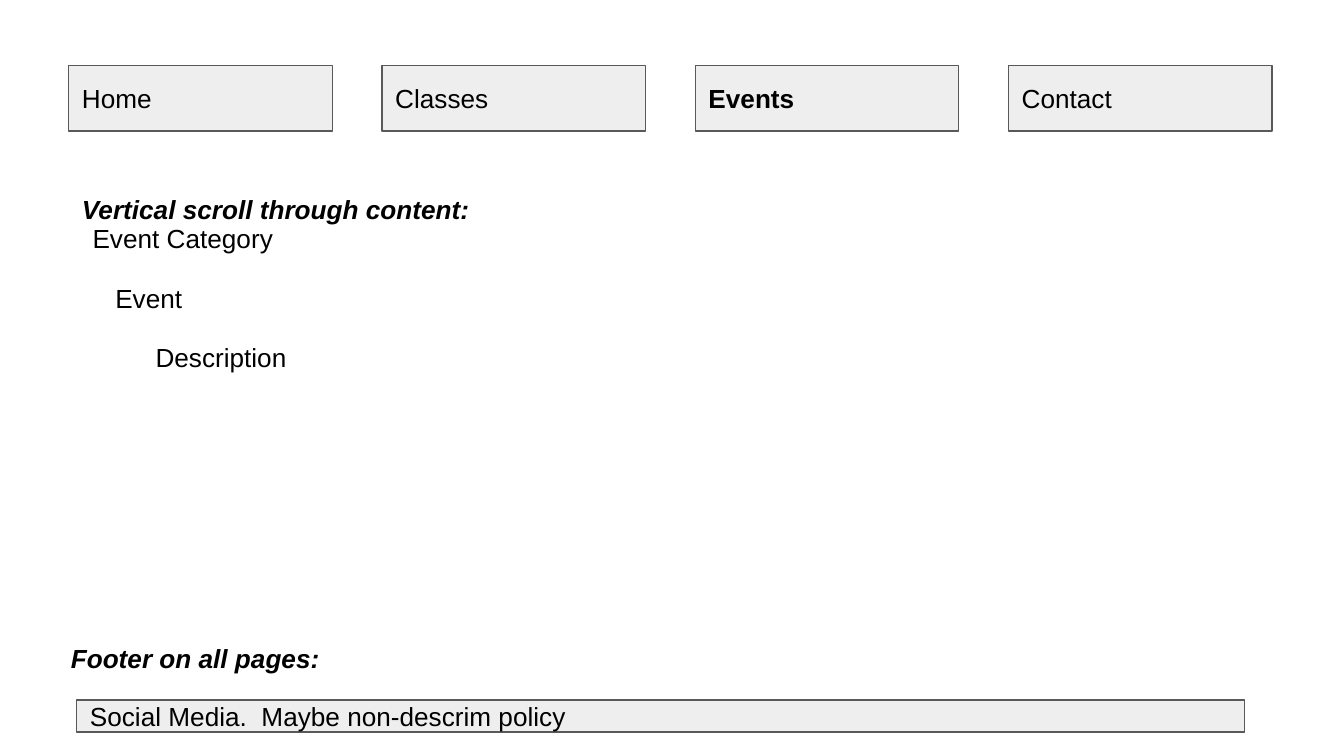
"""Build the wireframe slide of the Events page."""
from pptx import Presentation
from pptx.dml.color import RGBColor
from pptx.enum.shapes import MSO_SHAPE
from pptx.enum.text import MSO_ANCHOR, PP_ALIGN
from pptx.util import Cm, Pt

RECTANGLE = MSO_SHAPE.RECTANGLE
TOP, MIDDLE = MSO_ANCHOR.TOP, MSO_ANCHOR.MIDDLE
LEFT = PP_ALIGN.LEFT

COLOURS = {"panel": "EEEEEE", "border": "595959", "text": "000000"}

MENU = ["Home", "Classes", "Events", "Contact"]
CURRENT_PAGE = "Events"
FOOTER = "Social Media.  Maybe non-descrim policy"
HEADINGS = [
    ("Footer on all pages:", 1.09, 11.89, 8.1),
    ("Vertical scroll through content:", 1.3, 3.4, 11.66),
]
OUTLINE = [("Event Category", 1.5), ("Event", 1.93), ("Description", 2.69)]

MENU_LEFT, MENU_TOP, MENU_PITCH = 1.3, 1.24, 5.92
MENU_WIDTH, MENU_HEIGHT = 4.98, 1.24
OUTLINE_TOP, OUTLINE_PITCH, OUTLINE_WIDTH = 3.96, 1.12, 5.61
LABEL_HEIGHT = 0.74


def colour(role):
    return RGBColor.from_string(COLOURS[role])


def write(holder, wording, anchor, bold=False, italic=False):
    frame = holder.text_frame
    frame.word_wrap = True
    frame.vertical_anchor = anchor
    frame.margin_left = frame.margin_right = Cm(0.25)
    frame.margin_top = frame.margin_bottom = Cm(0.25)
    line = frame.paragraphs[0]
    line.text = wording
    line.alignment = LEFT
    line.font.name = "Arial"
    line.font.size = Pt(14)
    line.font.bold = bold
    line.font.italic = italic
    line.font.color.rgb = colour("text")


def add_panel(slide, wording, left, top, width, height, bold=False):
    panel = slide.shapes.add_shape(RECTANGLE, Cm(left), Cm(top), Cm(width), Cm(height))
    panel.shadow.inherit = False
    panel.fill.solid()
    panel.fill.fore_color.rgb = colour("panel")
    panel.line.color.rgb = colour("border")
    panel.line.width = Pt(0.75)
    write(panel, wording, MIDDLE, bold)


def add_label(slide, wording, left, top, width, heading=False):
    label = slide.shapes.add_textbox(Cm(left), Cm(top), Cm(width), Cm(LABEL_HEIGHT))
    write(label, wording, TOP, heading, heading)


def main():
    deck = Presentation()
    deck.slide_width, deck.slide_height = Cm(25.4), Cm(14.29)
    slide = deck.slides.add_slide(deck.slide_layouts[6])

    for column, page in enumerate(MENU):
        add_panel(slide, page, MENU_LEFT + column * MENU_PITCH, MENU_TOP,
                  MENU_WIDTH, MENU_HEIGHT, page == CURRENT_PAGE)
    add_panel(slide, FOOTER, 1.45, 13.23, 22.07, 0.61)

    for level, (entry, left) in enumerate(OUTLINE):
        add_label(slide, entry, left, OUTLINE_TOP + level * OUTLINE_PITCH, OUTLINE_WIDTH)
    for heading, left, top, width in HEADINGS:
        add_label(slide, heading, left, top, width, heading=True)

    deck.save("out.pptx")


if __name__ == "__main__":
    main()
